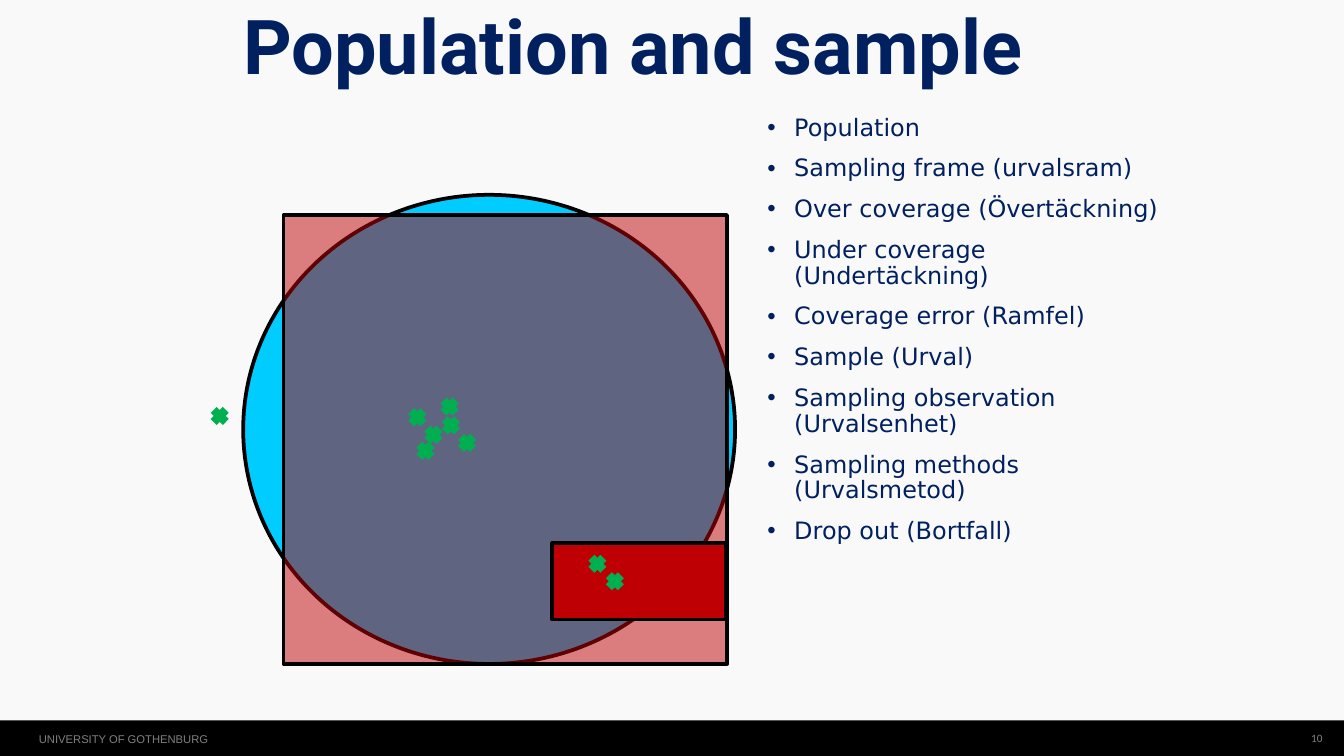
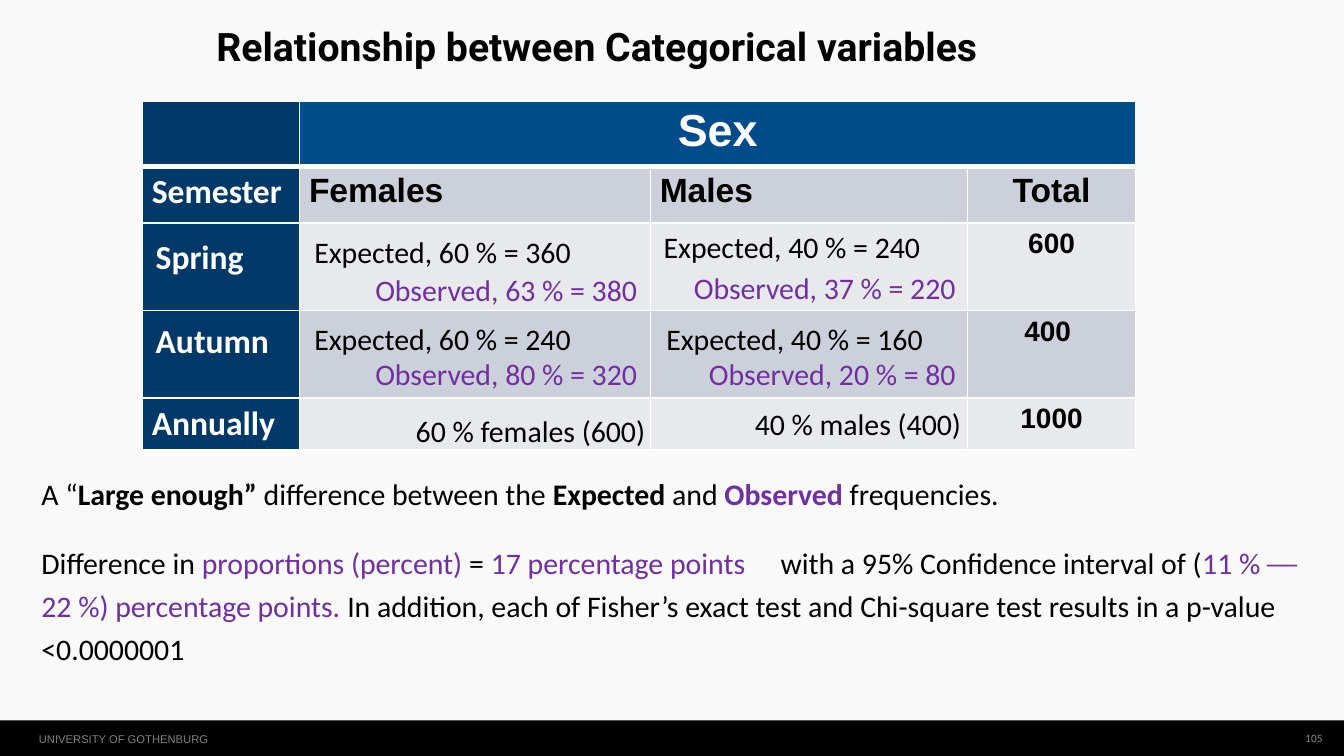
from dataclasses import dataclass, replace

from lxml.etree import SubElement
from pptx import Presentation
from pptx.dml.color import RGBColor
from pptx.enum.shapes import MSO_CONNECTOR, MSO_SHAPE
from pptx.enum.text import MSO_ANCHOR, PP_ALIGN
from pptx.oxml.ns import qn
from pptx.util import Inches, Pt

CELL = 0.1  # grid cell in inches: the slide is 100 columns by 56.25 rows
COLUMNS, ROWS = 100, 56.25


@dataclass(frozen=True)
class Style:
    size: float
    font: str
    color: str
    bold: bool = False


@dataclass(frozen=True)
class Theme:
    paper: str = "F9F9F9"
    black: str = "000000"
    white: str = "FFFFFF"
    cyan: str = "00CCFF"
    red: str = "BE0005"
    green: str = "00B050"
    stub: str = "003867"
    header: str = "004B89"
    bands: tuple = ("CCD0DA", "E7E9ED")
    outline: float = 2
    cross: float = 4.5
    display: Style = Style(40.5, "Roboto", "002060", True)
    title: Style = Style(21, "Roboto", "000000", True)
    bullet: Style = Style(12.8, "DejaVu Sans", "002060")
    footer: Style = Style(6, "Arial", "808080")
    number: Style = Style(6, "Calibri", "808080")
    body: Style = Style(16, "Calibri", "000000")
    accent: Style = Style(16, "Calibri", "7030A0")
    row_head: Style = Style(18, "Calibri", "FFFFFF", True)
    table_head: Style = Style(24, "Arial", "FFFFFF", True)
    column_head: Style = Style(18, "Arial", "000000", True)
    total: Style = Style(15, "Arial", "000000", True)


THEME = Theme()


@dataclass(frozen=True)
class Box:
    """An area measured in grid columns and rows."""
    left: float
    top: float
    width: float
    height: float

    def inner(self, left, top, width, height):
        return Box(self.left + left, self.top + top, width, height)

    def lengths(self):
        return [grid(n) for n in (self.left, self.top, self.width, self.height)]


def grid(count):
    return Inches(count * CELL)


def rgb(color):
    return RGBColor.from_string(color)


def style_span(span, style):
    span.font.size = Pt(style.size)
    span.font.name = style.font
    span.font.bold = style.bold
    span.font.color.rgb = rgb(style.color)


def set_margins(holder, across, down):
    holder.margin_left = holder.margin_right = grid(across)
    holder.margin_top = holder.margin_bottom = grid(down)


def add_text(page, box, paragraphs, align=PP_ALIGN.LEFT, anchor=MSO_ANCHOR.TOP,
             margins=(1, 0.5), line=None, before=0, after=0):
    """Each paragraph is a list of (text, style) spans."""
    frame = page.shapes.add_textbox(*box.lengths()).text_frame
    frame.word_wrap = True
    frame.vertical_anchor = anchor
    set_margins(frame, *margins)
    for index, spans in enumerate(paragraphs):
        para = frame.add_paragraph() if index else frame.paragraphs[0]
        para.alignment = align
        para.line_spacing = line
        para.space_before = Pt(before if index else 0)
        para.space_after = Pt(after)
        for text, style in spans:
            span = para.add_run()
            span.text = text
            style_span(span, style)
    return frame


def add_filled(page, kind, box, color, outline=None, opacity=None):
    shape = page.shapes.add_shape(kind, *box.lengths())
    shape.shadow.inherit = False
    shape.fill.solid()
    shape.fill.fore_color.rgb = rgb(color)
    if opacity:
        tint = shape.element.find(f".//{qn('a:solidFill')}/{qn('a:srgbClr')}")
        SubElement(tint, qn("a:alpha"), val=str(opacity * 1000))
    if outline:
        shape.line.color.rgb = rgb(outline)
        shape.line.width = Pt(THEME.outline)
    else:
        shape.line.fill.background()


def add_cross(page, box):
    group = page.shapes.add_group_shape()
    left, top, width, height = box.lengths()
    for start, end in ((left, left + width), (left + width, left)):
        stroke = group.shapes.add_connector(
            MSO_CONNECTOR.STRAIGHT, start, top, end, top + height)
        stroke.line.color.rgb = rgb(THEME.green)
        stroke.line.width = Pt(THEME.cross)
        SubElement(stroke.element.spPr, qn("a:effectLst"))


def add_footer(page, box, number, style):
    add_filled(page, MSO_SHAPE.RECTANGLE, box, THEME.black)
    add_text(page, box.inner(2.9, 0.9, 14, 1.4),
             [[("UNIVERSITY OF GOTHENBURG", THEME.footer)]], margins=(0, 0))
    add_text(page, box.inner(96, 0, 2.4, 2.6), [[(number, style)]],
             PP_ALIGN.RIGHT, MSO_ANCHOR.MIDDLE, (0, 0))


def add_page(deck, number, number_style):
    page = deck.slides.add_slide(deck.slide_layouts[6])
    page.background.fill.solid()
    page.background.fill.fore_color.rgb = rgb(THEME.paper)
    add_footer(page, Box(0, 53.6, COLUMNS, ROWS - 53.6), number, number_style)
    return page


def add_coverage_diagram(page, box):
    add_filled(page, MSO_SHAPE.OVAL, box.inner(2.2, 0, 36.6, 34.9),
               THEME.cyan, THEME.black)
    add_filled(page, MSO_SHAPE.RECTANGLE, box.inner(5.2, 1.5, 33, 33.4),
               THEME.red, THEME.black, opacity=50)
    add_filled(page, MSO_SHAPE.RECTANGLE, box.inner(25.2, 25.9, 12.9, 5.7),
               THEME.red, THEME.black)
    sampled = [(14.7, 16.1), (15.9, 17.4), (17.2, 16.7), (18.4, 18),
               (15.3, 18.6), (17.1, 15.3)]
    dropped = [(28.1, 27), (29.4, 28.3)]
    outside = [(0, 16)]
    for left, top in sampled + dropped + outside:
        add_cross(page, box.inner(left, top, 0.9, 0.9))


def add_term_list(page, box):
    terms = ["Population", "Sampling frame (urvalsram)",
             "Over coverage (Övertäckning)", "Under coverage (Undertäckning)",
             "Coverage error (Ramfel)", "Sample (Urval)",
             "Sampling observation (Urvalsenhet)",
             "Sampling methods (Urvalsmetod)", "Drop out (Bortfall)"]
    frame = add_text(page, box, [[(term, THEME.bullet)] for term in terms],
                     margins=(0, 0), line=0.9, before=8)
    for para in frame.paragraphs:
        properties = para._p.get_or_add_pPr()
        properties.set("marL", str(grid(2)))
        properties.set("indent", str(-grid(2)))
        SubElement(properties, qn("a:buFont"), typeface="Arial")
        SubElement(properties, qn("a:buChar"), char="•")


def set_borders(cell, top, bottom):
    properties = cell._tc.get_or_add_tcPr()
    for side, width in (("L", 1), ("R", 1), ("T", top), ("B", bottom)):
        line = SubElement(properties, qn(f"a:ln{side}"), w=str(Pt(width)))
        fill = SubElement(line, qn("a:solidFill"))
        SubElement(fill, qn("a:srgbClr"), val=THEME.white)


def add_semester_table(page, box):
    columns, rows = (11.7, 26.1, 23.6, 12.5), (4.9, 4.2, 6.5, 6.5, 3.9)
    words = [["", "Sex", "", ""],
             ["Semester", "Females", "Males", "Total"],
             ["", "", "", "600"],
             ["", "", "", "400 "],
             ["Annually", "", "", "1000"]]
    table = page.shapes.add_table(len(rows), len(columns), *box.lengths()).table
    table.first_row = table.horz_banding = False
    for column, width in zip(table.columns, columns):
        column.width = grid(width)
    for row, height in zip(table.rows, rows):
        row.height = grid(height)
    for r, line in enumerate(words):
        for c, text in enumerate(line):
            cell = table.cell(r, c)
            set_margins(cell, 0.7, 0.4)
            set_borders(cell, 3 if r == 1 else 1, 3 if r == 0 else 1)
            if c == 0:
                color, style = THEME.stub, THEME.row_head
            elif r == 0:
                color, style = THEME.header, THEME.table_head
            else:
                color = THEME.bands[(r - 1) % 2]
                style = THEME.column_head if r == 1 else THEME.total
            cell.fill.solid()
            cell.fill.fore_color.rgb = rgb(color)
            if text:
                cell.text_frame.text = text
                para = cell.text_frame.paragraphs[0]
                if r == 0 or c == 3:
                    para.alignment = PP_ALIGN.CENTER
                style_span(para.runs[0], style)
    table.cell(0, 1).merge(table.cell(0, 3))


def add_table_entries(page, box):
    left, right = PP_ALIGN.LEFT, PP_ALIGN.RIGHT
    entries = [
        ("Spring", 0, 9.6, 10.8, left, THEME.row_head),
        ("Autumn", 0, 15.8, 10.8, left, THEME.row_head),
        ("Expected, 60 % = 360", 11.8, 9.4, 25.2, left, THEME.body),
        ("Observed, 63 % = 380", 12.6, 12.2, 25.2, right, THEME.accent),
        ("Expected, 40 % = 240", 37.8, 9, 22, left, THEME.body),
        ("Observed, 37 % = 220", 36.3, 12.1, 25.2, right, THEME.accent),
        ("Expected, 60 % = 240", 11.8, 15.9, 25.2, left, THEME.body),
        ("Observed, 80 % = 320", 12.6, 18.5, 25.2, right, THEME.accent),
        ("Expected, 40 % = 160", 38, 15.9, 22, left, THEME.body),
        ("Observed, 20 % = 80", 36.3, 18.5, 25.2, right, THEME.accent),
        ("60 % females (600)", 18.3, 22.7, 20.1, right, THEME.body),
        ("40 % males (400)", 43, 22.2, 18.9, right, THEME.body),
    ]
    for text, column, row, width, align, style in entries:
        add_text(page, box.inner(column, row, width, 3.7), [[(text, style)]], align)


def add_conclusion(page, box):
    body, accent = THEME.body, THEME.accent
    strong, strong_accent = replace(body, bold=True), replace(accent, bold=True)
    frame = add_text(page, box, [
        [("A “", body), ("Large enough” ", strong),
         ("difference between the ", body), ("Expected", strong),
         (" and ", body), ("Observed", strong_accent), (" frequencies.", body)],
        [("Difference in ", body), ("proportions (percent)", accent),
         (" = ", body), ("17 percentage points", accent),
         ("\twith a 95% Confidence interval of (", body),
         ("11 % ── 22 %) percentage points. ", accent),
         ("In addition, each of Fisher’s exact test and Chi-square test "
          "results in a p-value <0.0000001", body)],
    ], line=1.2, before=4.5, after=9)
    tabs = SubElement(frame.paragraphs[1]._p.get_or_add_pPr(), qn("a:tabLst"))
    SubElement(tabs, qn("a:tab"), pos=str(grid(55)), algn="l")


def build_population_page(deck):
    page = add_page(deck, "10", THEME.number)
    add_text(page, Box(18.1, 0.7, 63.8, 9.4),
             [[("Population and sample", THEME.display)]],
             margins=(0, 0), line=0.9)
    add_coverage_diagram(page, Box(15.9, 14.5, 38.8, 34.9))
    add_term_list(page, Box(57.1, 8.6, 30.4, 33.8))


def build_relationship_page(deck):
    page = add_page(deck, "105", replace(THEME.number, color="8C8C8C"))
    add_text(page, Box(15.4, 1.2, 65.4, 4.4),
             [[("Relationship between Categorical variables", THEME.title)]],
             anchor=MSO_ANCHOR.MIDDLE, margins=(0.7, 0.4))
    table_box = Box(10.6, 7.5, 73.9, 26)
    add_semester_table(page, table_box)
    add_table_entries(page, table_box)
    add_conclusion(page, Box(2.1, 34.4, 96.4, 15.7))


def main():
    deck = Presentation()
    deck.slide_width, deck.slide_height = grid(COLUMNS), grid(ROWS)
    build_population_page(deck)
    build_relationship_page(deck)
    deck.save("out.pptx")


if __name__ == "__main__":
    main()
